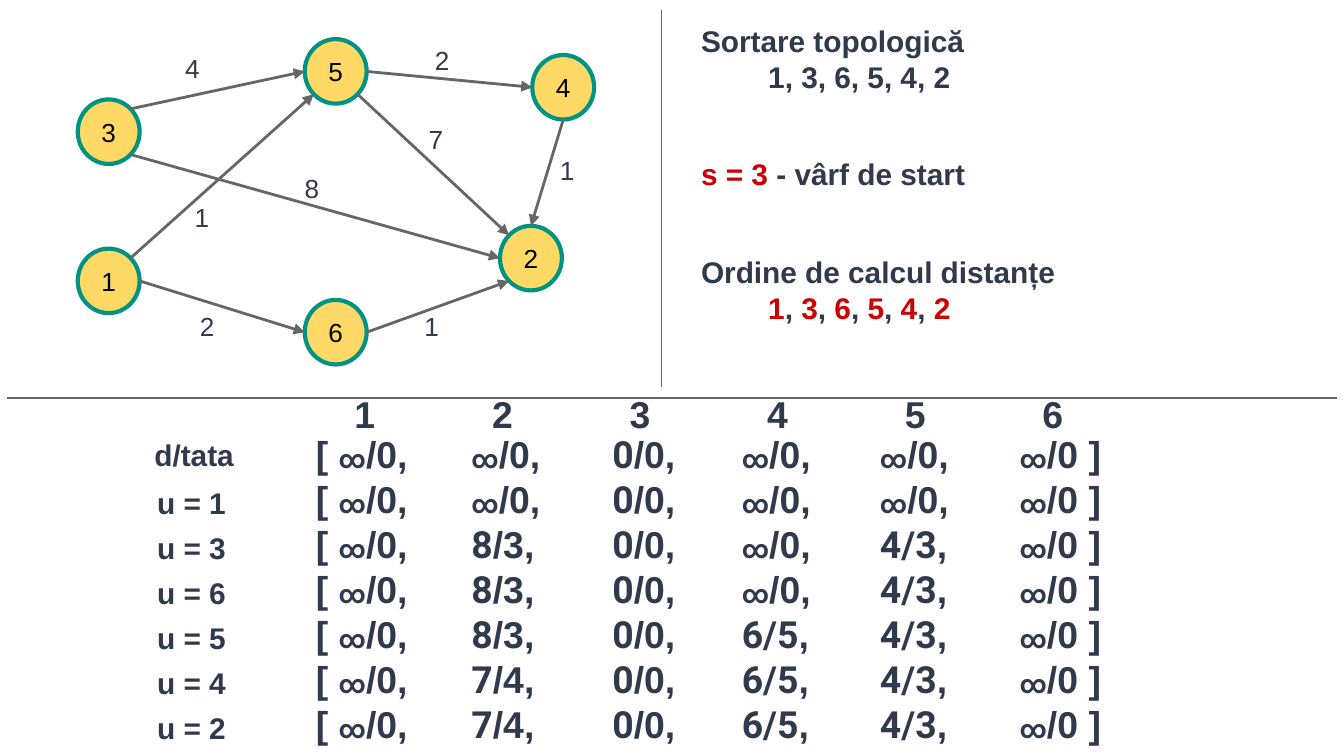
import math

import pptx
import pptx.dml.color
import pptx.enum.dml
import pptx.enum.shapes
import pptx.enum.text
import pptx.oxml
import pptx.oxml.ns
import pptx.util

Cm = pptx.util.Cm
Pt = pptx.util.Pt
RGBColor = pptx.dml.color.RGBColor
ALIGN = pptx.enum.text.PP_ALIGN
ANCHOR = pptx.enum.text.MSO_ANCHOR

INK = RGBColor(0x31, 0x39, 0x4D)
RED = RGBColor(0xCC, 0x00, 0x00)
BLACK = RGBColor(0x00, 0x00, 0x00)
GREY = RGBColor(0x66, 0x66, 0x66)
YELLOW = RGBColor(0xFF, 0xD9, 0x66)
TEAL = RGBColor(0x00, 0x93, 0x84)

TOP, TOP_LEFT, LEFT, BOTTOM_LEFT, BOTTOM, BOTTOM_RIGHT, RIGHT, TOP_RIGHT = range(8)
NODE_W, NODE_H = 1.17, 1.22
NODES = {
    "1": (0, 3.96),
    "2": (7.98, 3.53),
    "5": (4.29, 0),
    "6": (4.29, 4.93),
    "4": (8.59, 0.3),
    "3": (0, 1.14),
}
EDGES = [
    ("3", TOP_RIGHT, "5", LEFT, "4", (1.78, 0)),
    ("3", BOTTOM_RIGHT, "2", LEFT, "8", (4.04, 2.26)),
    ("1", TOP_RIGHT, "5", BOTTOM_LEFT, "1", (1.96, 2.82)),
    ("1", RIGHT, "6", LEFT, "2", (2.06, 4.88)),
    ("6", RIGHT, "2", BOTTOM_LEFT, "1", (6.3, 4.88)),
    ("5", BOTTOM_RIGHT, "2", TOP_LEFT, "7", (6.38, 1.35)),
    ("5", RIGHT, "4", LEFT, "2", (6.5, -0.15)),
    ("4", BOTTOM, "2", TOP, "1", (8.86, 1.93)),
]

ORDER = "136542"
STEPS = [
    ("d/tata", "∞/0 ∞/0 0/0 ∞/0 ∞/0 ∞/0"),
    ("u = 1", "∞/0 ∞/0 0/0 ∞/0 ∞/0 ∞/0"),
    ("u = 3", "∞/0 8/3 0/0 ∞/0 4/3 ∞/0"),
    ("u = 6", "∞/0 8/3 0/0 ∞/0 4/3 ∞/0"),
    ("u = 5", "∞/0 8/3 0/0 6/5 4/3 ∞/0"),
    ("u = 4", "∞/0 7/4 0/0 6/5 4/3 ∞/0"),
    ("u = 2", "∞/0 7/4 0/0 6/5 4/3 ∞/0"),
]
COLUMNS = [3.89, 6.83, 9.37, 11.94, 14.55, 17.19]
ROW_STEP = 0.85


def write(tf, paragraphs, inset, align=ALIGN.LEFT, anchor=ANCHOR.TOP, **base):
    frame = {"margin_left": Cm(inset), "margin_right": Cm(inset),
             "margin_top": Cm(inset), "margin_bottom": Cm(inset),
             "word_wrap": True, "vertical_anchor": anchor}
    for name, value in frame.items():
        setattr(tf, name, value)
    for i, runs in enumerate(paragraphs):
        p = tf.add_paragraph() if i else tf.paragraphs[0]
        p.alignment = align
        for text, changes in runs:
            r = p.add_run()
            r.text = text
            style = {"name": "Arial", "bold": True, "color": INK, **base, **changes}
            r.font.color.rgb = style.pop("color")
            style["size"] = Pt(style["size"])
            for name, value in style.items():
                setattr(r.font, name, value)


def add_text(s, left, top, width, height, paragraphs, **style):
    sp = s.shapes.add_textbox(Cm(left), Cm(top), Cm(width), Cm(height))
    write(sp.text_frame, paragraphs, 0.25, **style)
    sp.text_frame.auto_size = pptx.enum.text.MSO_AUTO_SIZE.SHAPE_TO_FIT_TEXT


def add_line(s, start, end, width, arrow=False):
    line = s.shapes.add_connector(pptx.enum.shapes.MSO_CONNECTOR.STRAIGHT,
                                  *(Cm(v) for v in (*start, *end)))
    line.line.color.rgb = GREY
    line.line.width = Pt(width)
    props = line.element.spPr
    if arrow:
        tail = pptx.oxml.parse_xml(
            f'<a:tailEnd {pptx.oxml.ns.nsdecls("a")} type="triangle"/>')
        line.line._get_or_add_ln().append(tail)
    props.append(pptx.oxml.parse_xml(f'<a:effectLst {pptx.oxml.ns.nsdecls("a")}/>'))


def node_site(node, site):
    x, y = NODES[node]
    angle = math.radians(45 * site)
    return (x + NODE_W / 2 * (1 - math.sin(angle)),
            y + NODE_H / 2 * (1 - math.cos(angle)))


def draw_graph(s, left, top):
    for name, (x, y) in NODES.items():
        sp = s.shapes.add_shape(pptx.enum.shapes.MSO_SHAPE.OVAL, Cm(left + x),
                                Cm(top + y), Cm(NODE_W), Cm(NODE_H))
        sp.shadow.inherit = False
        sp.fill.solid()
        sp.fill.fore_color.rgb = YELLOW
        sp.line.color.rgb = TEAL
        sp.line.width = Pt(2.25)
        write(sp.text_frame, [[(name, {})]], 0.05, ALIGN.CENTER, ANCHOR.MIDDLE,
              size=14, bold=False, color=BLACK)
    for source, out_site, target, in_site, weight, (x, y) in EDGES:
        ends = [(left + px, top + py) for px, py in
                (node_site(source, out_site), node_site(target, in_site))]
        add_line(s, *ends, 1.5, arrow=True)
        add_text(s, left + x, top + y, 0.89, 1.12, [[(weight, {})]],
                 size=14, bold=False)


def draw_notes(s, left, top, width):
    red = {"color": RED}
    order = [("\t", {})]
    for i, node in enumerate(ORDER):
        if i:
            order.append((", ", {}))
        order.append((node, red))
    notes = [
        (0, 1.88, [[("Sortare topologică", {})], [("\t" + ", ".join(ORDER), {})]]),
        (2.51, 1.19, [[("s = 3", red), (" - vârf de start", {})]]),
        (4.37, 1.88, [[("Ordine de calcul distanțe", {})], order]),
    ]
    for y, height, paragraphs in notes:
        add_text(s, left, top + y, width, height, paragraphs, size=16)


def cell_runs(value, col):
    head = value.split("/")[0]
    infinite = head == "∞"
    lead = value if col in (3, 4) and not infinite else head
    end = " ]" if col == len(COLUMNS) - 1 else ","
    runs = [("[ ", {})] if col == 0 else []
    if head == "0":
        runs.append((" ", {"name": "Roboto", "size": 14}))
    runs.append((lead, {"name": "Roboto", "size": 14 if infinite else 20}))
    runs.append((value[len(lead):] + end, {}))
    return runs


def draw_distances(s, left, top):
    for col in range(len(COLUMNS)):
        add_text(s, left + 4.62 + 2.6 * col, top, 1.37, 1.37,
                 [[(str(col + 1), {})]], size=20)
    for row, (label, values) in enumerate(STEPS):
        y = top + 0.76 + ROW_STEP * row
        if row:
            add_text(s, left, y + 0.17, 3.58, 1.19, [[(label, {})]],
                     align=ALIGN.CENTER, size=16)
        else:
            add_text(s, left + 0.84, y + 0.1, 3.05, 1.19, [[(label, {})]], size=16)
        for col, value in enumerate(values.split()):
            add_text(s, left + COLUMNS[col], y, 2.11 if col else 2.62, 1.37,
                     [cell_runs(value, col)], size=20)


def main():
    prs = pptx.Presentation()
    prs.slide_width, prs.slide_height = Cm(25.4), Cm(14.29)
    s = prs.slides.add_slide(prs.slide_layouts[6])
    add_line(s, (0.13, 7.52), (25.27, 7.52), 0.75)
    add_line(s, (12.5, 0.18), (12.5, 7.32), 0.75)
    draw_graph(s, 1.47, 0.74)
    draw_notes(s, 13, 0.18, 10.41)
    draw_distances(s, 1.83, 7.14)
    prs.save("out.pptx")


if __name__ == "__main__":
    main()
